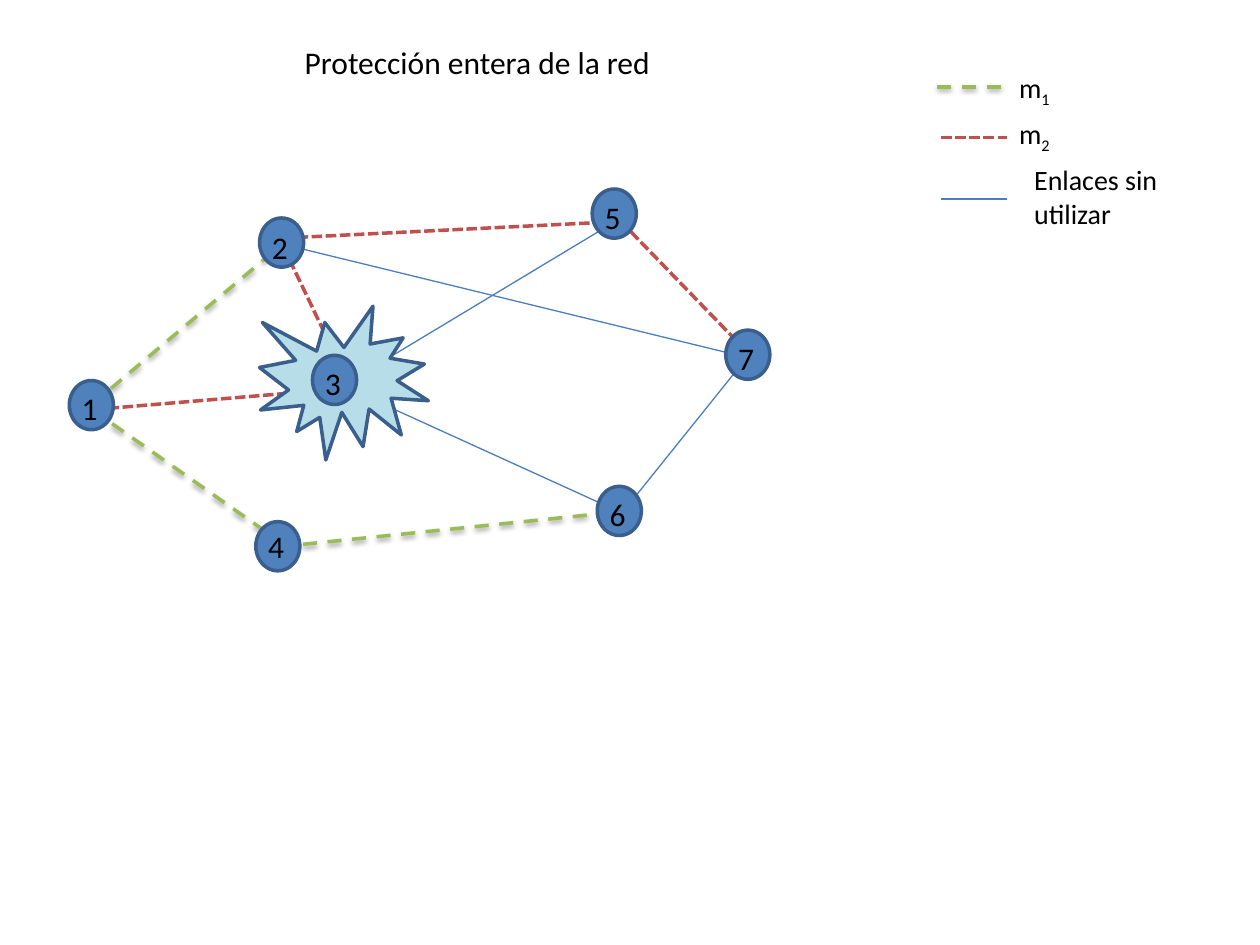
from typing import NamedTuple

from lxml.etree import SubElement
from pptx import Presentation
from pptx.dml.color import RGBColor
from pptx.enum.dml import MSO_LINE
from pptx.enum.shapes import MSO_CONNECTOR, MSO_SHAPE
from pptx.enum.text import MSO_AUTO_SIZE
from pptx.oxml.ns import qn
from pptx.util import Inches, Pt

BLACK = RGBColor(0, 0, 0)
BLUE = RGBColor(0x4F, 0x81, 0xBD)
NAVY = RGBColor(0x3A, 0x5F, 0x8C)
SKY = RGBColor(0xB7, 0xDE, 0xE8)
GREEN = RGBColor(0x9B, 0xBB, 0x59)
RED = RGBColor(0xC0, 0x50, 0x4D)
THIN = RGBColor(0x4B, 0x7E, 0xBC)


class Style(NamedTuple):
    color: RGBColor
    width: float
    dash: MSO_LINE | None = None
    shadow: bool = False


class Link(NamedTuple):
    style: Style
    x1: float
    y1: float
    x2: float
    y2: float


class Node(NamedTuple):
    name: str
    x: float
    y: float
    drop: float = 0.02


class Key(NamedTuple):
    style: Style
    line_x: float
    line_y: float
    x: float
    y: float
    high: float
    text: str
    sub: str = ""


M1 = Style(GREEN, 2, MSO_LINE.DASH, True)
M2 = Style(RED, 2, MSO_LINE.SQUARE_DOT)
IDLE = Style(THIN, 0.75)

LINKS = [
    Link(M2, 0.75, 3.25, 2.66, 3.09),
    Link(IDLE, 2.67, 3.09, 4.88, 1.76),
    Link(IDLE, 2.67, 3.04, 4.89, 4.05),
    Link(IDLE, 5.95, 2.81, 4.93, 4.08),
    Link(IDLE, 2.21, 1.93, 5.94, 2.84),
    Link(M2, 2.25, 1.89, 4.88, 1.76),
    Link(M1, 0.73, 3.21, 2.25, 1.93),
    Link(M2, 2.25, 1.96, 2.67, 2.84),
    Link(M2, 4.93, 1.76, 5.84, 2.7),
    Link(M1, 2.21, 4.34, 4.74, 4.08),
    Link(M1, 0.73, 3.25, 2.21, 4.29),
]
NODES = [
    Node("1", 0.55, 3.02),
    Node("2", 2.06, 1.73, 0.03),
    Node("3", 2.48, 2.82),
    Node("4", 2.03, 4.14, -0.01),
    Node("6", 4.74, 3.86),
    Node("5", 4.7, 1.5),
    Node("7", 5.76, 2.62),
]
KEYS = [
    Key(M2, 7.47, 1.09, 7.99, 0.88, 0.37, "m", "2"),
    Key(M1, 7.44, 0.69, 7.99, 0.51, 0.37, "m", "1"),
    Key(IDLE, 7.47, 1.58, 8.11, 1.24, 0.65, "Enlaces sin utilizar"),
]


def add_link(group, link: Link) -> None:
    style = link.style
    wire = group.shapes.add_connector(
        MSO_CONNECTOR.STRAIGHT, Inches(link.x1), Inches(link.y1),
        Inches(link.x2), Inches(link.y2))
    wire.line.color.rgb = style.color
    wire.line.width = Pt(style.width)
    if style.dash is not None:
        wire.line.dash_style = style.dash
    fx = SubElement(wire._element.spPr, qn("a:effectLst"))
    if style.shadow:
        cast = SubElement(fx, qn("a:outerShdw"), blurRad=str(Pt(3.1)),
                          dist=str(Pt(1.6)), dir="5400000", rotWithShape="0")
        tint = SubElement(cast, qn("a:srgbClr"), val=str(BLACK))
        SubElement(tint, qn("a:alpha"), val="38000")


def add_shape(group, kind: MSO_SHAPE, x: float, y: float, wide: float,
              high: float, fill: RGBColor) -> None:
    shape = group.shapes.add_shape(
        kind, Inches(x), Inches(y), Inches(wide), Inches(high))
    shape.shadow.inherit = False
    shape.fill.solid()
    shape.fill.fore_color.rgb = fill
    shape.line.color.rgb = NAVY
    shape.line.width = Pt(2)


def add_text(host, text: str, x: float, y: float, wide: float, high: float,
             *, size: float = 18, sub: str = "") -> None:
    box = host.shapes.add_textbox(
        Inches(x), Inches(y), Inches(wide), Inches(high))
    frame = box.text_frame
    frame.word_wrap = True
    frame.auto_size = MSO_AUTO_SIZE.SHAPE_TO_FIT_TEXT
    para = frame.paragraphs[0]
    for part, base in ((text, 0), (sub, -25000)):
        if not part:
            continue
        run = para.add_run()
        run.text = part
        run.font.size = Pt(size)
        run.font.name = "Calibri"
        run.font.color.rgb = BLACK
        if base:
            run.font._element.set("baseline", str(base))


deck = Presentation()
deck.slide_width, deck.slide_height = Inches(10), Inches(7.5)
slide = deck.slides.add_slide(deck.slide_layouts[6])

# Network: links, failure burst, numbered nodes
net = slide.shapes.add_group_shape()
for link in LINKS:
    add_link(net, link)
add_shape(net, MSO_SHAPE.EXPLOSION1, 2.06, 2.43, 1.34, 1.22, SKY)
for node in NODES:
    add_shape(net, MSO_SHAPE.OVAL, node.x, node.y, 0.35, 0.39, BLUE)
    add_text(net, node.name, node.x, node.y + node.drop, 0.38, 0.4)

# Title
add_text(slide, "Protección entera de la red", 2.32, 0.29, 4.72, 0.4)

# Legend
legend = slide.shapes.add_group_shape()
for key in KEYS:
    add_link(legend, Link(key.style, key.line_x, key.line_y,
                          key.line_x + 0.52, key.line_y))
    add_text(legend, key.text, key.x, key.y, 1.77, key.high,
             size=16, sub=key.sub)

deck.save("out.pptx")
